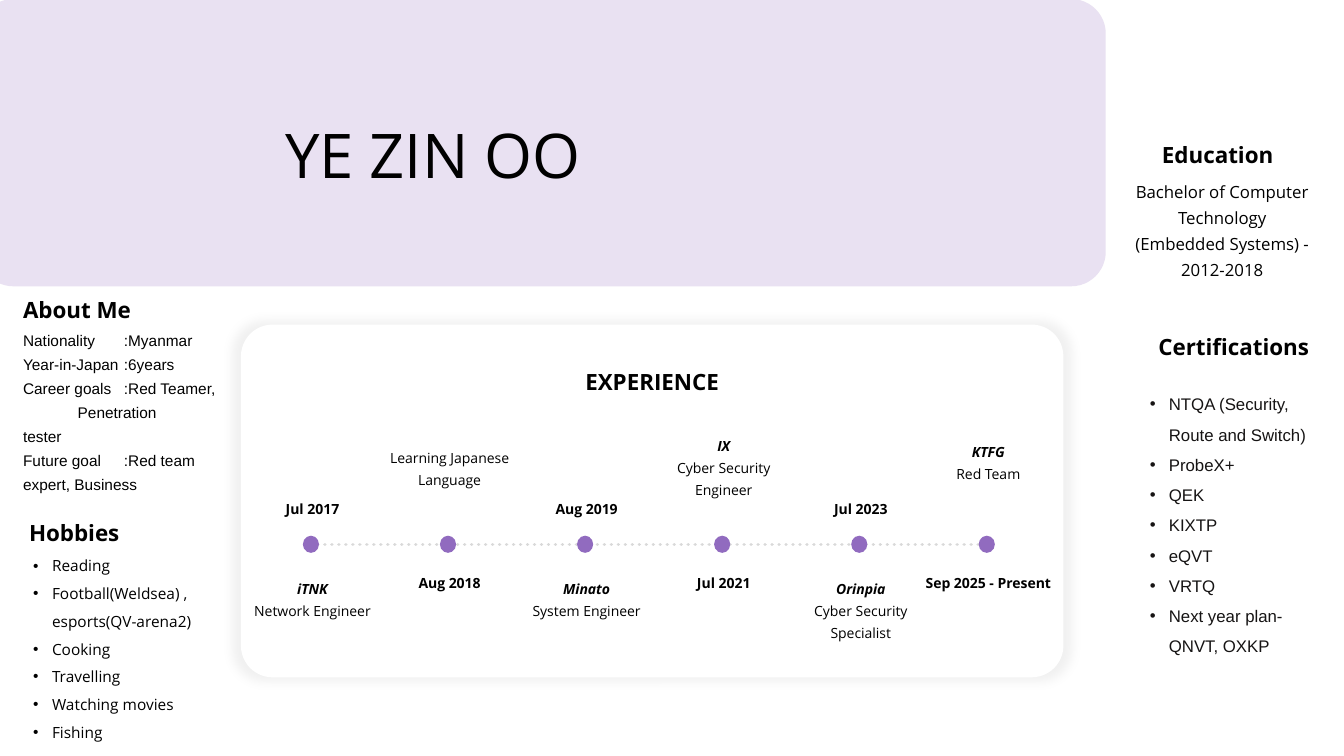
import pptx
import pptx.util
import pptx.dml.color
import pptx.enum.dml
import pptx.enum.shapes
import pptx.enum.text
import pptx.oxml
import pptx.oxml.ns
from lxml import etree

COLORS = {"ink": "000000", "soft_ink": "161414", "purple": "916BBF", "panel": "FFFFFF", "dots": "D9D9D9"}
COLUMNS, ROWS = 160, 90
WIDTH, HEIGHT = pptx.util.Inches(13.33), pptx.util.Inches(7.5)
CELL_W, CELL_H = WIDTH / COLUMNS, HEIGHT / ROWS

ALIGN = pptx.enum.text.PP_ALIGN
SHAPES = pptx.enum.shapes.MSO_SHAPE
SANS = {"name": "Open Sans"}
HEADING = {**SANS, "size": pptx.util.Pt(16), "bold": True}
DETAIL = {**SANS, "size": pptx.util.Pt(10)}
DATE = {**DETAIL, "bold": True}
EMPLOYER = {**DATE, "italic": True}
HEADING_W, HEADING_H = 27.84, 5.04

MILESTONES = [
    (0, "Jul 2017", "iTNK", "Network Engineer", 29.28, 6.24),
    (1, "Aug 2018", None, "Learning Japanese Language", 13.68, 6.24),
    (2, "Aug 2019", "Minato", "System Engineer", 29.28, 6.24),
    (3, "Jul 2021", "IX", "Cyber Security Engineer", 12.24, 8.88),
    (4, "Jul 2023", "Orinpia", "Cyber Security Specialist", 29.28, 8.88),
    (4.93, "Sep 2025 - Present", "KTFG", "Red Team", 12.96, 6.24),
]
ABOUT = [
    "Nationality\t:Myanmar",
    "Year-in-Japan\t:6years",
    "Career goals\t:Red Teamer,",
    "\t Penetration",
    "tester",
    "Future goal\t:Red team expert, Business",
]
HOBBIES = ["Reading", "Football(Weldsea) , esports(QV-arena2)", "Cooking",
           "Travelling", "Watching movies", "Fishing"]
EDUCATION = ["Bachelor of Computer Technology (Embedded Systems) - 2012-2018"]
CERTIFICATIONS = ["NTQA (Security, Route and Switch)", "ProbeX+", "QEK", "KIXTP",
                  "eQVT", "VRTQ", "Next year plan- QNVT, OXKP"]


def assign(target, formats):
    for key, value in formats.items():
        setattr(target, key, value)


def rgb(name):
    return pptx.dml.color.RGBColor.from_string(COLORS[name])


def cells(left, top, width, height):
    return [round(left * CELL_W), round(top * CELL_H), round(width * CELL_W), round(height * CELL_H)]


def child(parent, tag, **attributes):
    element = etree.SubElement(parent, pptx.oxml.ns.qn(tag))
    for key, value in attributes.items():
        element.set(key, str(value))
    return element


def add_bullet(paragraph):
    properties = paragraph._p.get_or_add_pPr()
    for key, value in {"marL": "171450", "indent": "-171450"}.items():
        properties.set(key, value)
    child(properties, "a:buFont", typeface="Arial")
    child(properties, "a:buChar", char="•")


def add_text(slide, box, lines, align=ALIGN.LEFT, spacing=1.3, bullets=False, ink="ink"):
    frame = slide.shapes.add_textbox(*cells(*box)).text_frame
    assign(frame, {"word_wrap": True, "auto_size": pptx.enum.text.MSO_AUTO_SIZE.SHAPE_TO_FIT_TEXT})
    for index, (words, font) in enumerate(lines):
        paragraph = frame.add_paragraph() if index else frame.paragraphs[0]
        assign(paragraph, {"alignment": align, "line_spacing": spacing})
        if bullets:
            add_bullet(paragraph)
        run = paragraph.add_run()
        run.text = words
        assign(run.font, font)
        run.font.color.rgb = rgb(ink)


def add_block(slide, geometry, box, fill):
    block = slide.shapes.add_shape(geometry, *cells(*box))
    block.shadow.inherit = False
    block.fill.solid()
    block.fill.fore_color.rgb = rgb(fill)
    block.line.fill.background()
    return block


def add_dotted_line(slide, start, end, row):
    x1, y, x2, _ = cells(start, row, end, 0)
    line = slide.shapes.add_connector(pptx.enum.shapes.MSO_CONNECTOR.STRAIGHT, x1, y, x2, y)
    line.line.color.rgb = rgb("dots")
    assign(line.line, {"width": pptx.util.Pt(2.5), "dash_style": pptx.enum.dml.MSO_LINE.ROUND_DOT})
    line._element.spPr.find(pptx.oxml.ns.qn("a:ln")).set("cap", "rnd")
    child(line._element.spPr, "a:effectLst")


def draw_banner(slide, box):
    left, top, _, _ = box
    banner = add_block(slide, SHAPES.ROUNDED_RECTANGLE, box, "purple")
    banner.adjustments[0] = 0.12
    tint = banner._element.spPr.find(".//" + pptx.oxml.ns.qn("a:srgbClr"))
    child(tint, "a:alpha", val=20000)
    add_text(slide, (left + 35.28, top + 10.8, 47.76, 11.88),
             [("YE ZIN OO", {**SANS, "size": pptx.util.Pt(44)})])


def draw_section(slide, box, heading, entries, font, inset, heading_align, **body_format):
    left, top, width, height = box
    inset_x, inset_y = inset
    add_text(slide, (left, top, HEADING_W, HEADING_H), [(heading, HEADING)], heading_align)
    add_text(slide, (left + inset_x, top + inset_y, width - inset_x, height - inset_y),
             [(entry, font) for entry in entries], **body_format)


def draw_experience(slide, box):
    left, top, width, _ = box
    panel = add_block(slide, SHAPES.ROUNDED_RECTANGLE, box, "panel")
    panel.adjustments[0] = 0.09
    effects = panel._element.spPr.find(pptx.oxml.ns.qn("a:effectLst"))
    glow = child(effects, "a:outerShdw", blurRad=pptx.util.Pt(8), dist=0, sx=102000, sy=102000,
                 algn="ctr", rotWithShape=0)
    child(child(glow, "a:srgbClr", val=COLORS["ink"]), "a:alpha", val=5000)
    add_text(slide, (left + (width - HEADING_W) / 2, top + 3.6, HEADING_W, HEADING_H),
             [("EXPERIENCE", HEADING)], ALIGN.CENTER)

    step, dot_w, dot_h, label_w = 16.32, 1.92, 2.04, 18.24
    axis = top + 26.16
    centers = [left + 8.34 + step * position for position, *_ in MILESTONES]
    for start, end in ((0, 4), (4, 5)):
        add_dotted_line(slide, centers[start], centers[end], axis)
    for index, (_, date, employer, role, role_top, role_h) in enumerate(MILESTONES):
        center = centers[index]
        add_block(slide, SHAPES.OVAL, (center - dot_w / 2, axis - dot_h / 2, dot_w, dot_h), "purple")
        label_left = center + 0.18 - label_w / 2
        date_top = top + (28.56 if index % 2 else 19.8)
        add_text(slide, (label_left, date_top, label_w, 3.6), [(date, DATE)], ALIGN.CENTER)
        lines = [(employer, EMPLOYER)] if employer else []
        add_text(slide, (label_left, top + role_top, label_w, role_h),
                 lines + [(role, DETAIL)], ALIGN.CENTER)


def main():
    deck = pptx.Presentation()
    assign(deck, {"slide_width": WIDTH, "slide_height": HEIGHT})
    slide = deck.slides.add_slide(deck.slide_layouts[6])
    draw_experience(slide, (28.68, 38.64, 97.92, 42))
    draw_banner(slide, (-2.52, -0.12, 134.16, 34.2))
    draw_section(slide, (1.56, 33.72, 27.12, 25.56), "About Me", ABOUT,
                 {"name": "Arial", "size": pptx.util.Pt(11)}, (0, 4.44), ALIGN.JUSTIFY)
    draw_section(slide, (2.28, 60.24, 27.12, 34.92), "Hobbies", HOBBIES,
                 {**SANS, "size": pptx.util.Pt(11)}, (0.48, 4.32), ALIGN.JUSTIFY,
                 spacing=1.5, bullets=True)
    draw_section(slide, (131.04, 15.24, 26.28, 18.6), "Education", EDUCATION,
                 {**SANS, "size": pptx.util.Pt(12)}, (2.64, 5.04), ALIGN.CENTER,
                 align=ALIGN.CENTER)
    draw_section(slide, (132.96, 38.16, 26.4, 40.44), "Certifications", CERTIFICATIONS,
                 {"name": "Arial", "size": pptx.util.Pt(12)}, (2.76, 6.96), ALIGN.CENTER,
                 spacing=1.5, bullets=True, ink="soft_ink")
    deck.save("out.pptx")


if __name__ == "__main__":
    main()
